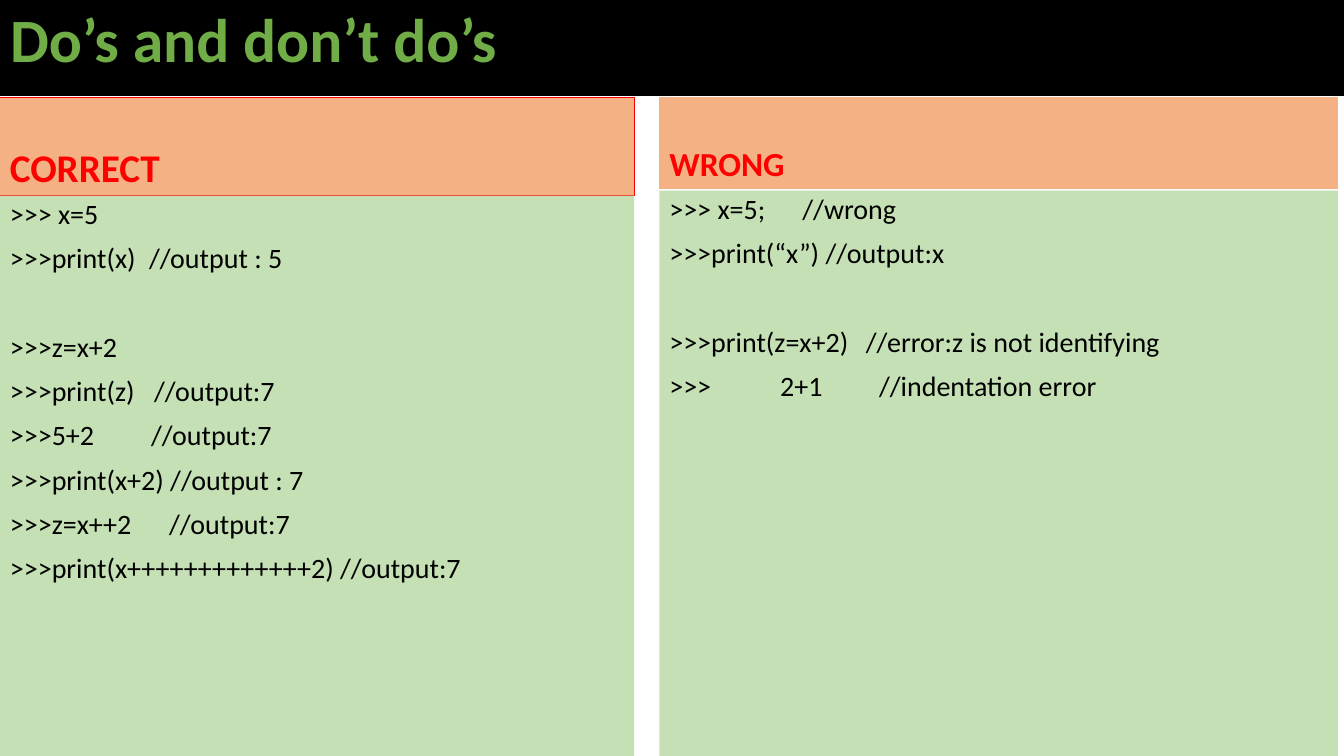
from dataclasses import dataclass
from typing import Optional

from lxml import etree
from pptx import Presentation
from pptx import util as u
from pptx.dml.color import RGBColor
from pptx.enum import shapes, text
from pptx.oxml.ns import qn

BLACK = RGBColor(0x00, 0x00, 0x00)
GREEN = RGBColor(0x70, 0xAD, 0x47)
PALE = RGBColor(0xC5, 0xE0, 0xB4)
PEACH = RGBColor(0xF4, 0xB1, 0x83)
RED = RGBColor(0xFF, 0x00, 0x00)

WIDE, HIGH = u.Inches(13.33), u.Inches(7.5)
TOP = 12.93  # top of both columns, percent of slide height


@dataclass
class Line:
    words: str
    tabs: tuple[float, ...] = ()  # tab stops in inches
    before: float = 10


@dataclass
class Column:
    left: float  # percent of slide width
    width: float
    head: str
    size: int
    edge: RGBColor
    deep: float  # heading height, percent of slide height
    start: float  # top of the code panel
    code: list[Line]


COLUMNS = [
    Column(0, 47.19, "CORRECT", 28, RED, 12.93, 25.87, [
        Line(">>> x=5"),
        Line(">>>print(x)\t//output : 5", (1.38,)),
        Line(">>>z=x+2", before=41.6),
        Line(">>>print(z)\t//output:7", (1.43,)),
        Line(">>>5+2\t//output:7", (1.4,)),
        Line(">>>print(x+2) //output : 7"),
        Line(">>>z=x++2\t//output:7", (1.58,)),
        Line(">>>print(x+++++++++++++2) //output:7"),
    ]),
    Column(49.06, 50.49, "WRONG", 24, PEACH, 12, 25.2, [
        Line(">>> x=5;\t//wrong", (1.32,)),
        Line(">>>print(“x”) //output:x"),
        Line(">>>print(z=x+2)\t//error:z is not identifying", (1.95,), 41.6),
        Line(">>>\t2+1\t//indentation error", (1.1, 2.08)),
    ]),
]


def place(item, left: float, top: float, width: float, height: float) -> None:
    """Set a box from percentages of the slide's size."""
    box = {"left": WIDE * left, "top": HIGH * top,
           "width": WIDE * width, "height": HIGH * height}
    for name, size in box.items():
        setattr(item, name, u.Emu(round(size / 100)))


def write(item, lines: list[Line], anchor, size: int, color: RGBColor, bold: bool) -> None:
    """Fill a shape with evenly formatted lines."""
    frame = item.text_frame
    layout = {"word_wrap": True, "auto_size": text.MSO_AUTO_SIZE.NONE,
              "vertical_anchor": anchor}
    for name, value in layout.items():
        setattr(frame, name, value)
    for i, line in enumerate(lines):
        para = frame.paragraphs[0] if i == 0 else frame.add_paragraph()
        flow = {"alignment": text.PP_ALIGN.LEFT, "line_spacing": 0.9,
                "space_before": u.Pt(line.before)}
        for name, value in flow.items():
            setattr(para, name, value)
        run = para.add_run()
        run.text = line.words
        style = {"name": "Calibri", "size": u.Pt(size), "bold": bold}
        for name, value in style.items():
            setattr(run.font, name, value)
        run.font.color.rgb = color
        if line.tabs:
            stops = etree.SubElement(para._p.get_or_add_pPr(), qn("a:tabLst"))
            for stop in line.tabs:
                etree.SubElement(stops, qn("a:tab"), pos=str(u.Inches(stop)), algn="l")


def panel(slide, box: tuple[float, ...], fill: RGBColor, edge: Optional[RGBColor] = None):
    """Draw a filled rectangle with an optional thin edge."""
    item = slide.shapes.add_shape(shapes.MSO_SHAPE.RECTANGLE, 0, 0, 0, 0)
    place(item, *box)
    item.shadow.inherit = False
    item.fill.solid()
    item.fill.fore_color.rgb = fill
    if edge is None:
        item.line.fill.background()
    else:
        item.line.color.rgb = edge
        item.line.width = u.Pt(0.75)
    return item


def main() -> None:
    deck = Presentation()
    deck.slide_width, deck.slide_height = WIDE, HIGH
    slide = deck.slides.add_slide(deck.slide_layouts[5])

    # Title band
    title = slide.shapes.title
    place(title, 0, -1.33, 100, 14)
    title.fill.solid()
    title.fill.fore_color.rgb = BLACK
    write(title, [Line("Do’s and don’t do’s", before=0)],
          text.MSO_ANCHOR.MIDDLE, 44, GREEN, True)

    # Heading and code panel of each column
    for col in COLUMNS:
        head = panel(slide, (col.left, TOP, col.width, col.deep), PEACH, col.edge)
        write(head, [Line(col.head)], text.MSO_ANCHOR.BOTTOM, col.size, RED, True)
        body = panel(slide, (col.left, col.start, col.width, 100 - col.start), PALE)
        write(body, col.code, text.MSO_ANCHOR.TOP, 20, BLACK, False)

    deck.save("out.pptx")


if __name__ == "__main__":
    main()
